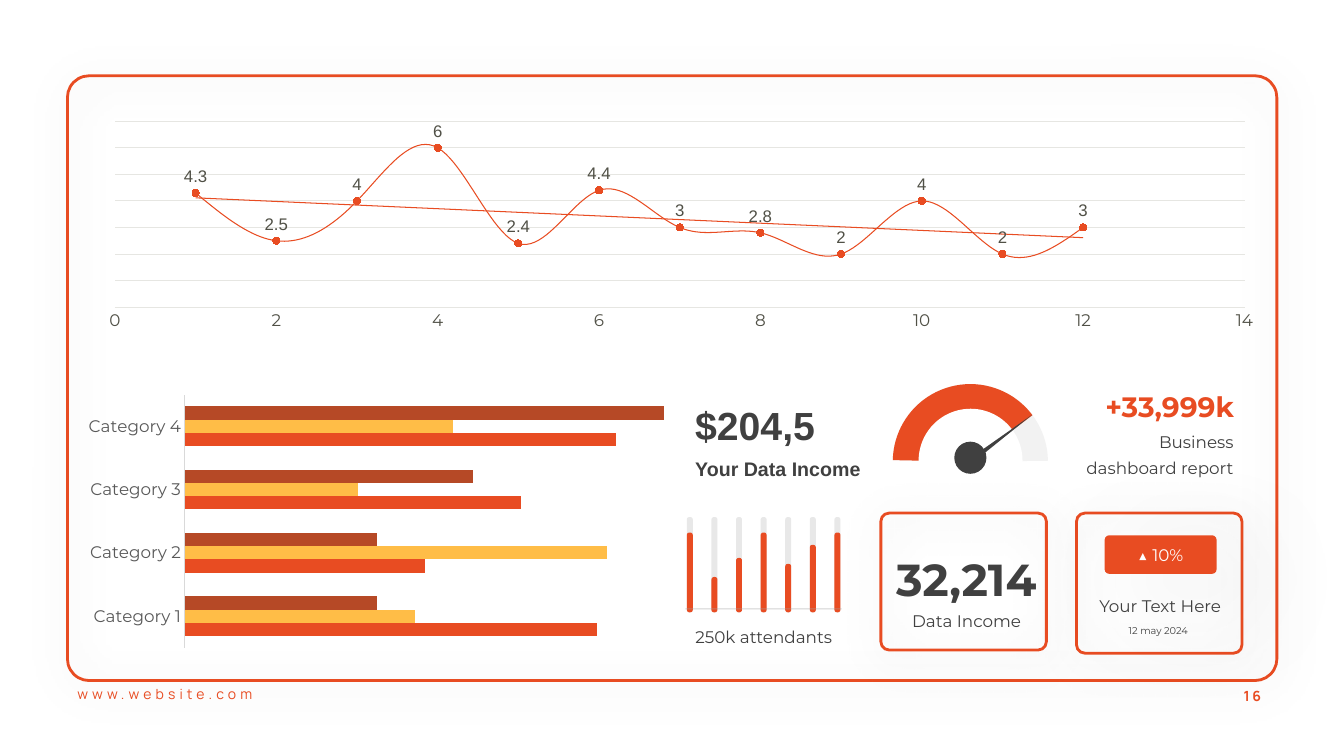
"""Build a dashboard slide with two charts, a gauge, small bars and figure cards."""
from dataclasses import dataclass
from typing import Any, NamedTuple, Optional

from lxml import etree
from pptx import Presentation, util as u
from pptx.chart import data
from pptx.chart.datalabel import DataLabels
from pptx.dml.color import RGBColor
from pptx.enum import chart as charts, shapes, text
from pptx.oxml import ns


@dataclass(frozen=True)
class Theme:
    orange: str = "E84C22"
    marker: str = "F24618"
    yellow: str = "FFBD47"
    rust: str = "B64926"
    dark: str = "404040"
    label: str = "505046"
    category: str = "595959"
    grid: str = "E6E6E2"
    axis: str = "D9D9D9"
    grey: str = "A5A5A5"
    pale: str = "F2F2F2"
    white: str = "FFFFFF"
    black: str = "000000"
    sans: str = "Arial"
    display: str = "Montserrat"
    footer: str = "Manrope"
    tiny: float = 7
    small: float = 10
    body: float = 12
    lead: float = 14
    headline: float = 20
    price: float = 28
    figure: float = 32


class Area(NamedTuple):
    left: float
    top: float
    width: float
    height: float


class Shadow(NamedTuple):
    opacity: int
    blur: float
    distance: float
    angle: float


class Label(NamedTuple):
    wording: str
    area: Area
    style: dict[str, Any]


THEME = Theme()
KIND = shapes.MSO_SHAPE
LEFT, CENTER, RIGHT = text.PP_ALIGN.LEFT, text.PP_ALIGN.CENTER, text.PP_ALIGN.RIGHT
TOP, MIDDLE, BOTTOM = text.MSO_ANCHOR.TOP, text.MSO_ANCHOR.MIDDLE, text.MSO_ANCHOR.BOTTOM
SOFT, WIDE = Shadow(20, 30, 4.5, 67), Shadow(10, 80, 30, 35)

LABELS = [
    Label("16", Area(30.94, 17.2, 1.24, 0.69), dict(
        size=THEME.small, font=THEME.footer, color=THEME.orange, bold=True,
        align=CENTER, anchor=MIDDLE, tracking=2, wrap=False)),
    Label("www.website.com", Area(1.7, 17.15, 7.24, 0.69), dict(
        size=THEME.small, font=THEME.footer, color=THEME.orange, tracking=3)),
    Label("+33,999k", Area(27.51, 9.42, 3.84, 1.37), dict(
        size=THEME.headline, color=THEME.orange, bold=True, align=RIGHT,
        anchor=BOTTOM, spacing=1.3)),
    Label("Business dashboard report", Area(26.72, 10.59, 4.62, 1.6), dict(align=RIGHT, spacing=1.3)),
    Label("250k attendants", Area(16.76, 15.42, 4.98, 1.02), dict(align=CENTER, spacing=1.5)),
    Label("Your Data Income", Area(17.27, 11.2, 4.78, 1.04), dict(
        size=THEME.lead, font=THEME.sans, bold=True, spacing=1.3)),
    Label("$204,5", Area(17.27, 9.98, 4.29, 1.45), dict(size=THEME.price, font=THEME.sans, bold=True)),
    Label("32,214", Area(22.17, 13.36, 4.37, 2.03), dict(
        size=THEME.figure, bold=True, align=CENTER, anchor=BOTTOM, spacing=1.3)),
    Label("Data Income", Area(21.97, 15.11, 4.78, 0.91), dict(align=CENTER, spacing=1.3)),
    Label("Your Text Here", Area(26.85, 14.73, 4.78, 0.91), dict(align=CENTER, spacing=1.3)),
    Label("12 may 2024", Area(26.8, 15.54, 4.78, 0.64), dict(
        size=THEME.tiny, align=CENTER, spacing=1.3)),
]


def place(area: Area) -> list[u.Length]:
    return [u.Cm(value) for value in area]


def rgb(color: str) -> RGBColor:
    return RGBColor.from_string(color)


def set_opacity(item: Any, percent: int) -> None:
    for color in item._element.spPr.iter(ns.qn("a:srgbClr")):
        etree.SubElement(color, ns.qn("a:alpha"), val=str(percent * 1000))


def write(frame: Any, wording: str, *, size: float = THEME.body, font: str = THEME.display,
          color: str = THEME.dark, bold: bool = False, align: Any = LEFT, anchor: Any = TOP,
          spacing: Optional[float] = None, tracking: float = 0, wrap: bool = True) -> None:
    frame.word_wrap, frame.vertical_anchor = wrap, anchor
    para = frame.paragraphs[0]
    para.alignment, para.line_spacing = align, spacing
    span = para.add_run()
    span.text = wording
    span.font.size, span.font.name, span.font.bold = u.Pt(size), font, bold
    span.font.color.rgb = rgb(color)
    if tracking:
        span.font._element.set("spc", str(round(tracking * 100)))


def add_label(page: Any, label: Label) -> None:
    box = page.shapes.add_textbox(*place(label.area))
    write(box.text_frame, label.wording, **label.style)
    box.text_frame.auto_size = text.MSO_AUTO_SIZE.SHAPE_TO_FIT_TEXT


def add_figure(page: Any, kind: Any, area: Area, *, fill: Optional[str] = None,
               line: Optional[str] = None, weight: float = 2, adjust: tuple[float, ...] = (),
               turn: float = 0, opacity: int = 100, shadow: Optional[Shadow] = None) -> Any:
    shape = page.shapes.add_shape(kind, *place(area))
    shape.shadow.inherit = False
    shape.rotation = turn
    for index, value in enumerate(adjust):
        shape.adjustments[index] = value
    if fill:
        shape.fill.solid()
        shape.fill.fore_color.rgb = rgb(fill)
    else:
        shape.fill.background()
    if line:
        shape.line.color.rgb, shape.line.width = rgb(line), u.Pt(weight)
    else:
        shape.line.fill.background()
    if opacity < 100:
        set_opacity(shape, opacity)
    if shadow:
        effects = shape._element.spPr.find(ns.qn("a:effectLst"))
        outer = etree.SubElement(
            effects, ns.qn("a:outerShdw"), blurRad=str(u.Pt(shadow.blur)),
            dist=str(u.Pt(shadow.distance)), dir=str(round(shadow.angle * 60000)), rotWithShape="0")
        color = etree.SubElement(outer, ns.qn("a:srgbClr"), val=THEME.black)
        etree.SubElement(color, ns.qn("a:alpha"), val=str(shadow.opacity * 1000))
    return shape


def style_font(font: Any, size: float, name: str, color: str) -> None:
    font.size, font.name, font.color.rgb = u.Pt(size), name, rgb(color)


def add_chart(page: Any, kind: Any, area: Area, values: Any, plot: Area, *, font: str,
              label_color: str, axis_color: str, top: float) -> Any:
    chart = page.shapes.add_chart(kind, *place(area), values).chart
    chart.has_title = chart.has_legend = False
    style_font(chart.font, THEME.small, font, THEME.black)
    chart.plots[0].vary_by_categories = False
    across, scale = chart.category_axis, chart.value_axis
    across.has_major_gridlines = scale.has_major_gridlines = False
    across.major_tick_mark = across.minor_tick_mark = charts.XL_TICK_MARK.NONE
    across.format.line.color.rgb, across.format.line.width = rgb(axis_color), u.Pt(0.75)
    style_font(across.tick_labels.font, THEME.body, THEME.display, label_color)
    scale.minimum_scale, scale.maximum_scale, scale.visible = 0, top, False
    plot_area = chart._chartSpace.chart.plotArea
    for old in plot_area.findall(ns.qn("c:layout")):
        plot_area.remove(old)
    layout = etree.Element(ns.qn("c:layout"))
    manual = etree.SubElement(layout, ns.qn("c:manualLayout"))
    settings = dict(layoutTarget="inner", xMode="edge", yMode="edge",
                    x=plot.left, y=plot.top, w=plot.width, h=plot.height)
    for tag, value in settings.items():
        etree.SubElement(manual, ns.qn(f"c:{tag}"), val=str(value))
    plot_area.insert(0, layout)
    return chart


def add_trend_chart(page: Any) -> None:
    values = data.XyChartData()
    points = values.add_series("Series 1")
    for x, y in enumerate((4.3, 2.5, 4, 6, 2.4, 4.4, 3, 2.8, 2, 4, 2, 3), start=1):
        points.add_data_point(x, y)
    chart = add_chart(page, charts.XL_CHART_TYPE.XY_SCATTER_SMOOTH, Area(1.19, 2.67, 30.48, 5.84),
                      values, Area(0.056, 0.066, 0.934, 0.803), font=THEME.sans,
                      label_color=THEME.label, axis_color=THEME.grid, top=7)
    across, scale = chart.category_axis, chart.value_axis
    across.minimum_scale, across.maximum_scale, across.major_unit = 0, 14, 2
    scale.major_unit, scale.has_major_gridlines = 1, True
    grid = scale.major_gridlines.format.line
    grid.color.rgb, grid.width = rgb(THEME.grid), u.Pt(0.75)
    series = chart.plots[0].series[0]
    series.format.line.color.rgb, series.format.line.width = rgb(THEME.orange), u.Pt(0.75)
    series.marker.style, series.marker.size = charts.XL_MARKER_STYLE.CIRCLE, 5
    series.marker.format.fill.solid()
    series.marker.format.fill.fore_color.rgb = rgb(THEME.marker)
    series.marker.format.line.color.rgb = rgb(THEME.marker)
    element = series._element
    element.get_or_add_smooth().val = True
    labels = DataLabels(element.get_or_add_dLbls())
    labels.show_value, labels.position = True, charts.XL_LABEL_POSITION.ABOVE
    style_font(labels.font, THEME.body, THEME.sans, THEME.label)
    trend = etree.Element(ns.qn("c:trendline"))
    look = etree.SubElement(trend, ns.qn("c:spPr"))
    line = etree.SubElement(look, ns.qn("a:ln"), w=str(u.Pt(0.75)))
    paint = etree.SubElement(line, ns.qn("a:solidFill"))
    etree.SubElement(paint, ns.qn("a:srgbClr"), val=THEME.orange)
    for tag, value in (("trendlineType", "linear"), ("dispRSqr", "0"), ("dispEq", "0")):
        etree.SubElement(trend, ns.qn(f"c:{tag}"), val=value)
    element.find(ns.qn("c:xVal")).addprevious(trend)


def add_category_chart(page: Any) -> None:
    values = data.CategoryChartData()
    values.categories = [f"Category {number}" for number in range(1, 5)]
    rows = ((86, 50, 70, 90), (48, 88, 36, 56), (40, 40, 60, 100))
    for number, row in enumerate(rows, start=1):
        values.add_series(f"Series {number}", row)
    chart = add_chart(page, charts.XL_CHART_TYPE.BAR_CLUSTERED, Area(2.21, 9.58, 17.02, 7.11),
                      values, Area(0.144, 0.051, 0.852, 0.898), font=THEME.footer,
                      label_color=THEME.category, axis_color=THEME.axis, top=120)
    plot = chart.plots[0]
    plot.gap_width, plot.overlap = 182, 0
    for series, color in zip(plot.series, (THEME.orange, THEME.yellow, THEME.rust)):
        series.format.fill.solid()
        series.format.fill.fore_color.rgb = rgb(color)


def add_gauge(page: Any) -> None:
    dial = Area(22.5, 9.68, 3.91, 3.91)
    for end, color in ((359.33, THEME.pale), (323.2, THEME.orange)):
        add_figure(page, KIND.PIE, dial, fill=color, adjust=(181.15 * 0.6, end * 0.6))
    add_figure(page, KIND.OVAL, Area(23.19, 10.34, 2.54, 2.54), fill=THEME.white,
               line=THEME.white, weight=2.25)
    add_figure(page, KIND.ISOSCELES_TRIANGLE, Area(25.15, 10.06, 0.13, 1.98), fill=THEME.dark, turn=53)
    add_figure(page, KIND.OVAL, Area(24.05, 11.13, 0.81, 0.81), fill=THEME.dark)


def add_attendance(page: Any) -> None:
    first, step, width, bottom, full = 17.31, 0.62, 0.15, 15.43, 2.4
    for index, level in enumerate((2.01, 0.89, 1.37, 2.01, 1.22, 1.7, 2.01)):
        for height, color, opacity in ((full, THEME.grey, 25), (level, THEME.orange, 100)):
            add_figure(page, KIND.ROUNDED_RECTANGLE,
                       Area(first + index * step, bottom - height, width, height),
                       fill=color, adjust=(0.42,), opacity=opacity)
    base = page.shapes.add_connector(shapes.MSO_CONNECTOR.STRAIGHT, *place(Area(17.27, 15.34, 21.21, 15.34)))
    base.line.color.rgb, base.line.width = rgb(THEME.grey), u.Pt(0.75)
    set_opacity(base, 50)
    etree.SubElement(base._element.spPr, ns.qn("a:effectLst"))


def main() -> None:
    deck = Presentation()
    deck.slide_width, deck.slide_height = u.Cm(33.87), u.Cm(19.05)
    page = deck.slides.add_slide(deck.slide_layouts[6])
    add_gauge(page)
    outlines = ((Area(1.7, 1.91, 30.48, 15.24), 0.036), (Area(27.13, 12.93, 4.17, 3.53), 0.06),
                (Area(22.2, 12.93, 4.17, 3.45), 0.06))
    for area, corner in outlines:
        add_figure(page, KIND.ROUNDED_RECTANGLE, area, line=THEME.orange, adjust=(corner,), shadow=SOFT)
    add_trend_chart(page)
    add_category_chart(page)
    add_attendance(page)
    pill = add_figure(page, KIND.ROUNDED_RECTANGLE, Area(27.84, 13.49, 2.82, 0.97),
                      fill=THEME.orange, adjust=(0.115,), shadow=WIDE)
    write(pill.text_frame, "▲ 10%", color=THEME.white, align=CENTER, anchor=MIDDLE)
    for label in LABELS:
        add_label(page, label)
    deck.save("out.pptx")


if __name__ == "__main__":
    main()
